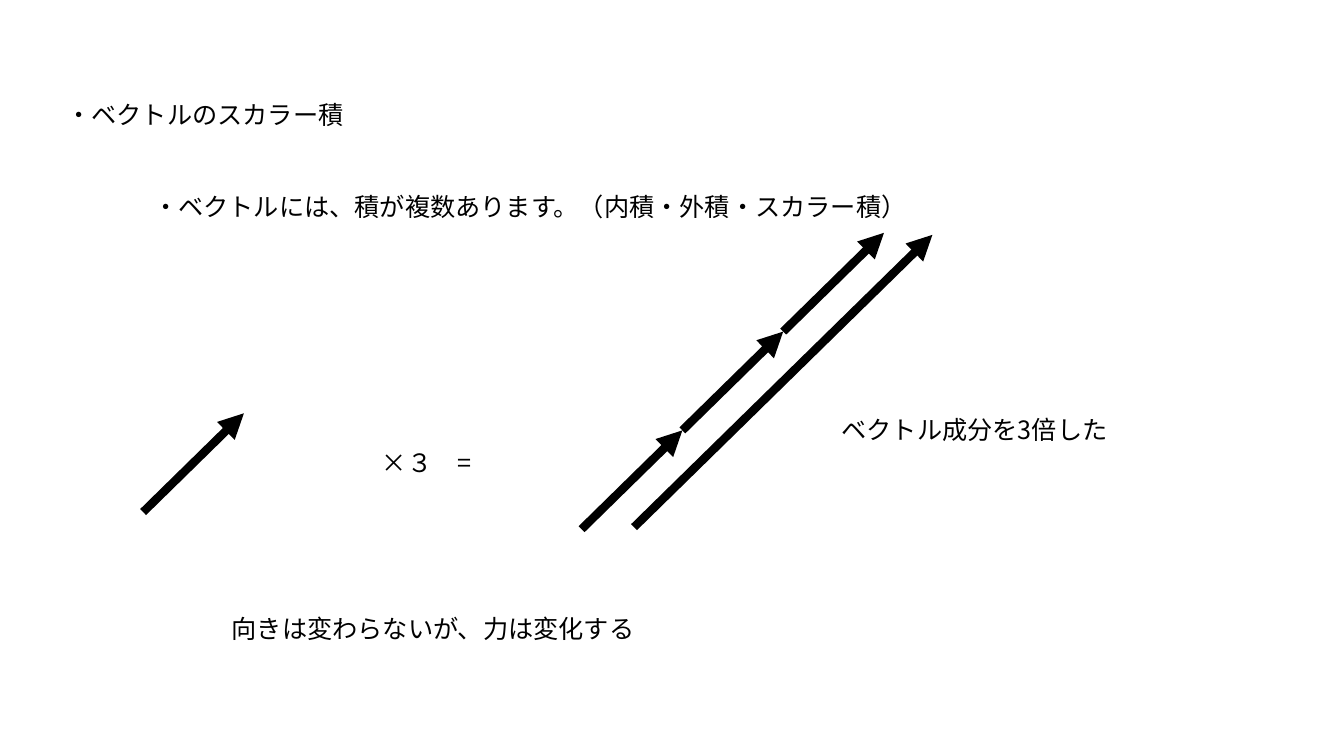
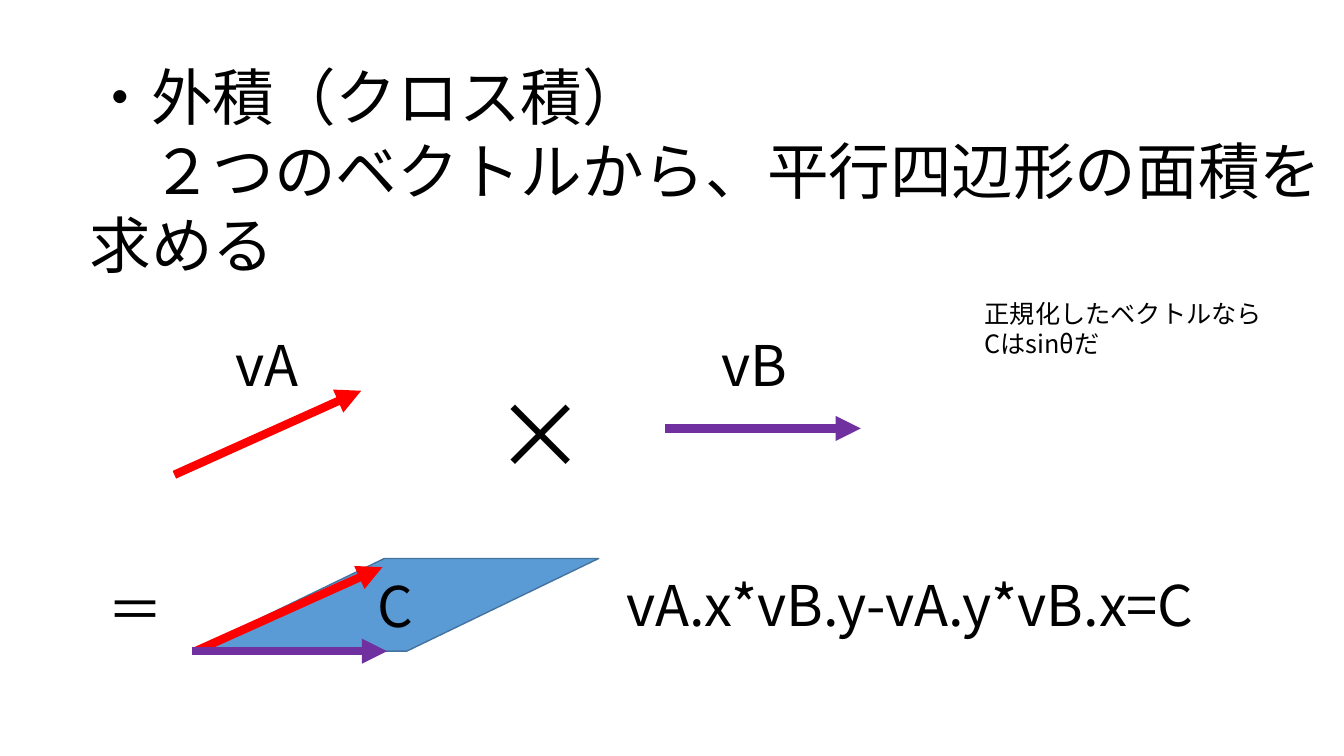
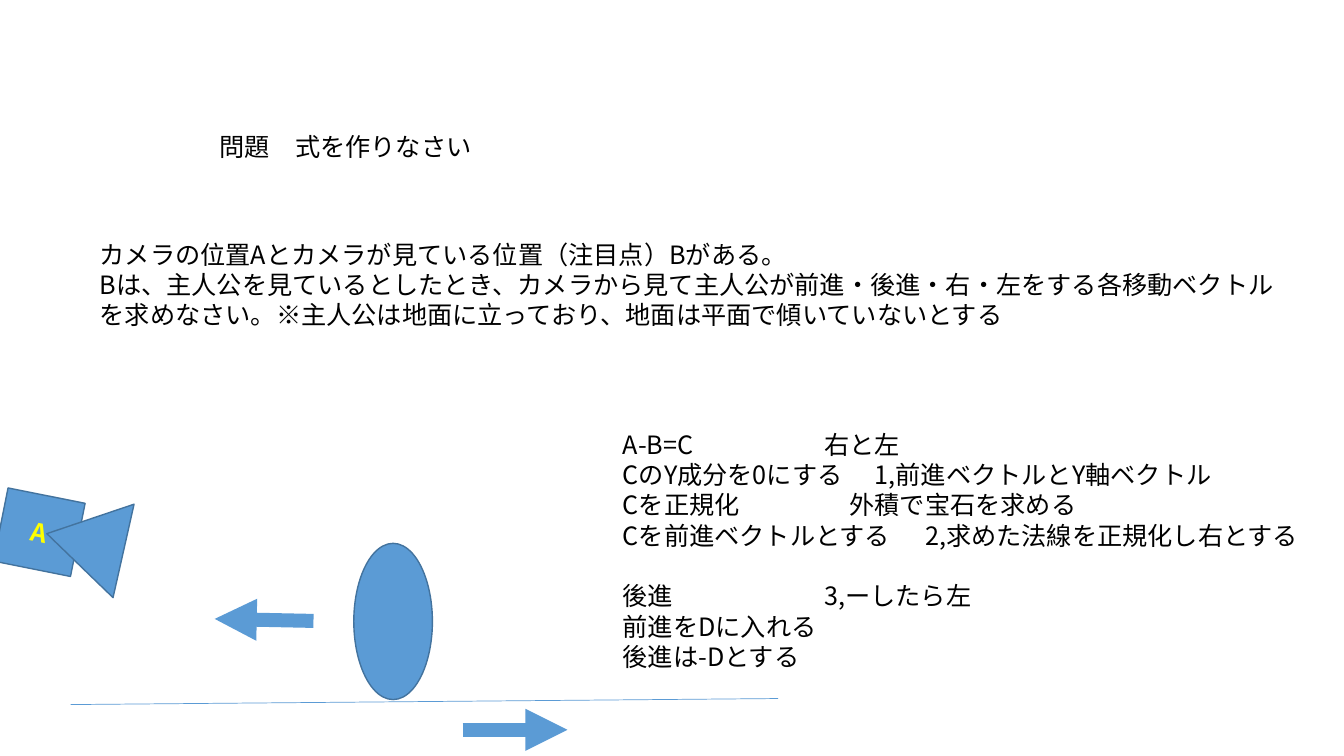
from dataclasses import dataclass

from lxml.etree import SubElement
from pptx import Presentation
from pptx.dml.color import RGBColor
from pptx.enum.shapes import MSO_CONNECTOR, MSO_SHAPE
from pptx.enum.text import MSO_ANCHOR, MSO_AUTO_SIZE, PP_ALIGN
from pptx.oxml.ns import qn
from pptx.util import Inches, Pt


@dataclass(frozen=True)
class Theme:
    font: str = "Noto Sans CJK JP"
    ink: str = "000000"
    blue: str = "5B9BD5"
    outline: str = "43739E"
    red: str = "FF0000"
    purple: str = "7030A0"
    yellow: str = "FFFF00"
    body: int = 18
    label: int = 40
    title: int = 44
    symbol: int = 66
    hairline: float = 0.5
    border: float = 1
    vector: float = 6
    movement: float = 10


THEME = Theme()
SLIDE_WIDTH = Inches(40 / 3)
SLIDE_HEIGHT = Inches(7.5)
GRID_COLUMNS = 40
CELL = SLIDE_WIDTH / GRID_COLUMNS


def cells(*counts):
    return [round(count * CELL) for count in counts]


def apply(target, values):
    for name, value in values.items():
        setattr(target, name, value)


def write_lines(frame, lines, size, color, bold=False, align=PP_ALIGN.LEFT):
    for index, line in enumerate(lines):
        paragraph = frame.add_paragraph() if index else frame.paragraphs[0]
        paragraph.alignment = align
        run = paragraph.add_run()
        run.text = line
        run.font.color.rgb = RGBColor.from_string(color)
        apply(run.font, {"size": Pt(size), "bold": bold, "name": THEME.font})
        east_asian = SubElement(run.font._element, qn("a:ea"))
        east_asian.set("typeface", THEME.font)


def add_text(slide, box, lines, size=THEME.body, wrap=False):
    frame = slide.shapes.add_textbox(*cells(*box)).text_frame
    apply(frame, {"word_wrap": wrap, "auto_size": MSO_AUTO_SIZE.SHAPE_TO_FIT_TEXT})
    write_lines(frame, lines, size, THEME.ink)
    return frame


def add_figure(slide, kind, box, rotation=0, adjustment=None):
    shape = slide.shapes.add_shape(kind, *cells(*box))
    apply(shape, {"rotation": rotation})
    apply(shape.shadow, {"inherit": False})
    shape.fill.solid()
    shape.fill.fore_color.rgb = RGBColor.from_string(THEME.blue)
    shape.line.color.rgb = RGBColor.from_string(THEME.outline)
    shape.line.width = Pt(THEME.border)
    if adjustment is not None:
        shape.adjustments[0] = adjustment
    return shape


def add_label(shape, text, size, color, bold=False):
    shape.text_frame.vertical_anchor = MSO_ANCHOR.MIDDLE
    write_lines(shape.text_frame, [text], size, color, bold, PP_ALIGN.CENTER)


def add_line(slide, start, delta, color, width, arrow=True):
    end = (start[0] + delta[0], start[1] + delta[1])
    connector = slide.shapes.add_connector(MSO_CONNECTOR.STRAIGHT, *cells(*start, *end))
    connector.line.color.rgb = RGBColor.from_string(color)
    connector.line.width = Pt(width)
    properties = connector.element.spPr
    if arrow:
        SubElement(properties.find(qn("a:ln")), qn("a:tailEnd")).set("type", "triangle")
    SubElement(properties, qn("a:effectLst"))


def build_scalar_product(slide):
    unit = (3, -2.94)
    tripled = (8.88, -8.7)
    chain_start = (17.31, 15.75)
    add_text(slide, (1.68, 2.82, 8.94, 1.2), ["・ベクトルのスカラー積"])
    add_text(slide, (4.26, 5.55, 23.34, 1.2),
             ["・ベクトルには、積が複数あります。（内積・外積・スカラー積）"])
    add_line(slide, (4.26, 15.24), unit, THEME.ink, THEME.vector)
    add_text(slide, (11.07, 13.17, 3.42, 1.2), ["×３　="], wrap=True)
    for step in range(3):
        start = [origin + step * part for origin, part in zip(chain_start, unit)]
        add_line(slide, start, unit, THEME.ink, THEME.vector)
    add_line(slide, (18.87, 15.69), tripled, THEME.ink, THEME.vector)
    add_text(slide, (24.75, 12.18, 8.61, 1.2), ["ベクトル成分を3倍した"], wrap=True)
    add_text(slide, (6.6, 18.12, 12.72, 1.2), ["向きは変わらないが、力は変化する"])


def build_cross_product(slide):
    vector_a = (5.56, -2.5)
    vector_b = (5.82, 0)
    area = add_figure(slide, MSO_SHAPE.PARALLELOGRAM, (5.73, 16.62, 12.09, 2.76),
                      adjustment=2.07)
    add_label(area, "C", THEME.label, THEME.ink)
    add_text(slide, (2.37, 1.62, 37.62, 6.96),
             ["・外積（クロス積）", "　２つのベクトルから、平行四辺形の面積を", "求める"],
             THEME.title)
    add_text(slide, (14.43, 11.07, 3.39, 3.63), ["×"], THEME.symbol)
    for start_a, start_b in (((5.19, 14.13), (19.8, 12.75)),
                             ((5.82, 19.38), (5.7, 19.38))):
        add_line(slide, start_a, vector_a, THEME.red, THEME.vector)
        add_line(slide, start_b, vector_b, THEME.purple, THEME.vector)
    for left, top, width, text in (
        (6.72, 9.69, 2.52, "vA"),
        (21.18, 9.69, 2.58, "vB"),
        (2.91, 16.95, 2.28, "＝"),
        (18.36, 16.83, 18.09, "vA.x*vB.y-vA.y*vB.x=C"),
    ):
        add_text(slide, (left, top, width, 2.31), [text], THEME.label)
    add_text(slide, (29.01, 8.73, 8.94, 2.13), ["正規化したベクトルなら", "Cはsinθだ"])


def build_exercise(slide):
    add_text(slide, (6.24, 3.75, 8.19, 1.2), ["問題　式を作りなさい"])
    add_text(slide, (2.67, 6.96, 35.97, 3.03), [
        "カメラの位置Aとカメラが見ている位置（注目点）Bがある。",
        "Bは、主人公を見ているとしたとき、カメラから見て主人公が前進・後進・右・左をする各移動ベクトル",
        "を求めなさい。※主人公は地面に立っており、地面は平面で傾いていないとする",
    ])
    camera = add_figure(slide, MSO_SHAPE.RECTANGLE, (0, 14.73, 2.34, 2.22), 11.3)
    add_label(camera, "A", THEME.body, THEME.yellow, True)
    add_figure(slide, MSO_SHAPE.ISOSCELES_TRIANGLE, (1.11, 14.97, 2.85, 2.34), 282.7)
    add_figure(slide, MSO_SHAPE.OVAL, (10.53, 16.17, 2.34, 4.65))
    add_line(slide, (2.1, 20.97), (21.06, -0.18), THEME.blue, THEME.hairline, False)
    add_line(slide, (9.33, 18.48), (-2.94, -0.06), THEME.blue, THEME.movement)
    add_line(slide, (13.77, 21.72), (3.12, 0), THEME.blue, THEME.movement)
    answer = add_text(slide, (18.24, 12.63, 20.91, 7.56), [
        "A-B=C\t\t\t右と左",
        "CのY成分を0にする\t1,前進ベクトルとY軸ベクトル",
        "Cを正規化\t\t　外積で宝石を求める",
        "Cを前進ベクトルとする\t2,求めた法線を正規化し右とする",
        "後進\t\t\t3,ーしたら左",
        "前進をDに入れる",
        "後進は-Dとする",
    ])
    answer.paragraphs[4].space_before = Pt(21.7)


def main():
    presentation = Presentation()
    apply(presentation, {"slide_width": SLIDE_WIDTH, "slide_height": SLIDE_HEIGHT})
    blank = presentation.slide_layouts[6]
    for build in (build_scalar_product, build_cross_product, build_exercise):
        build(presentation.slides.add_slide(blank))
    presentation.save("out.pptx")


if __name__ == "__main__":
    main()
